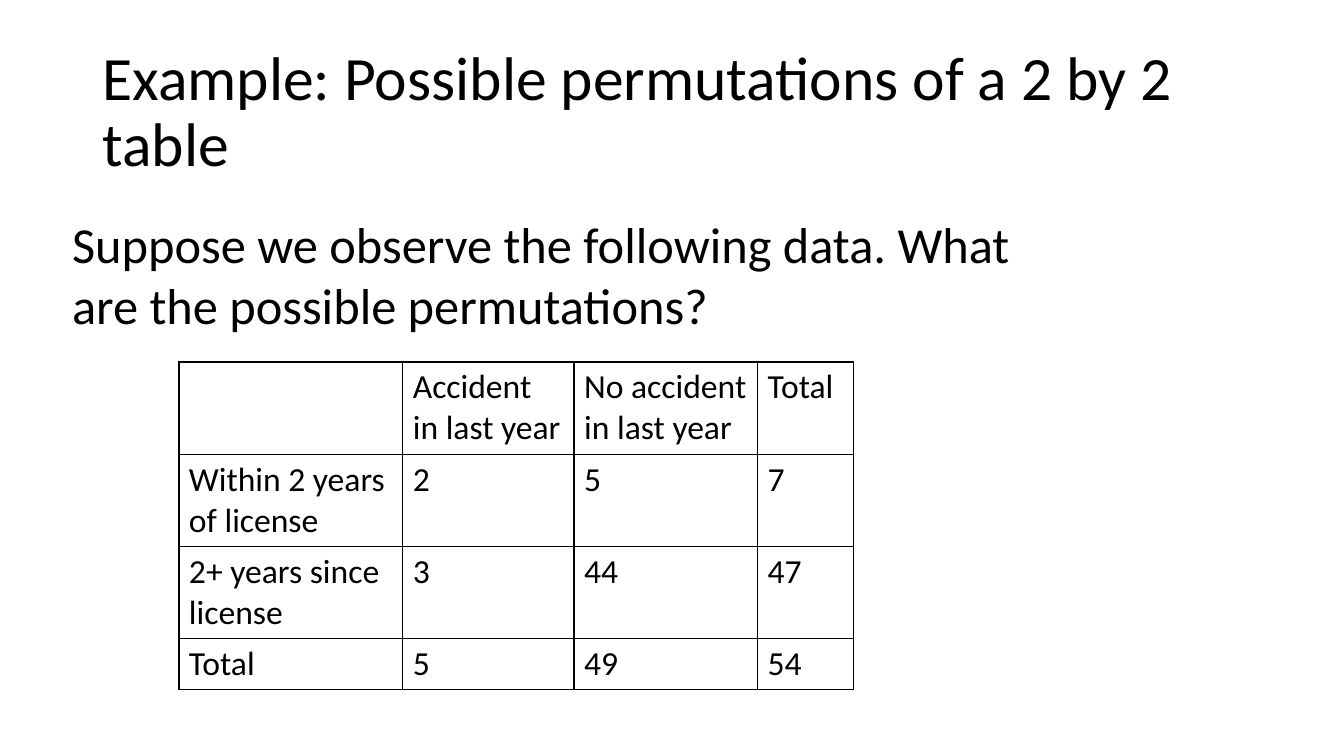
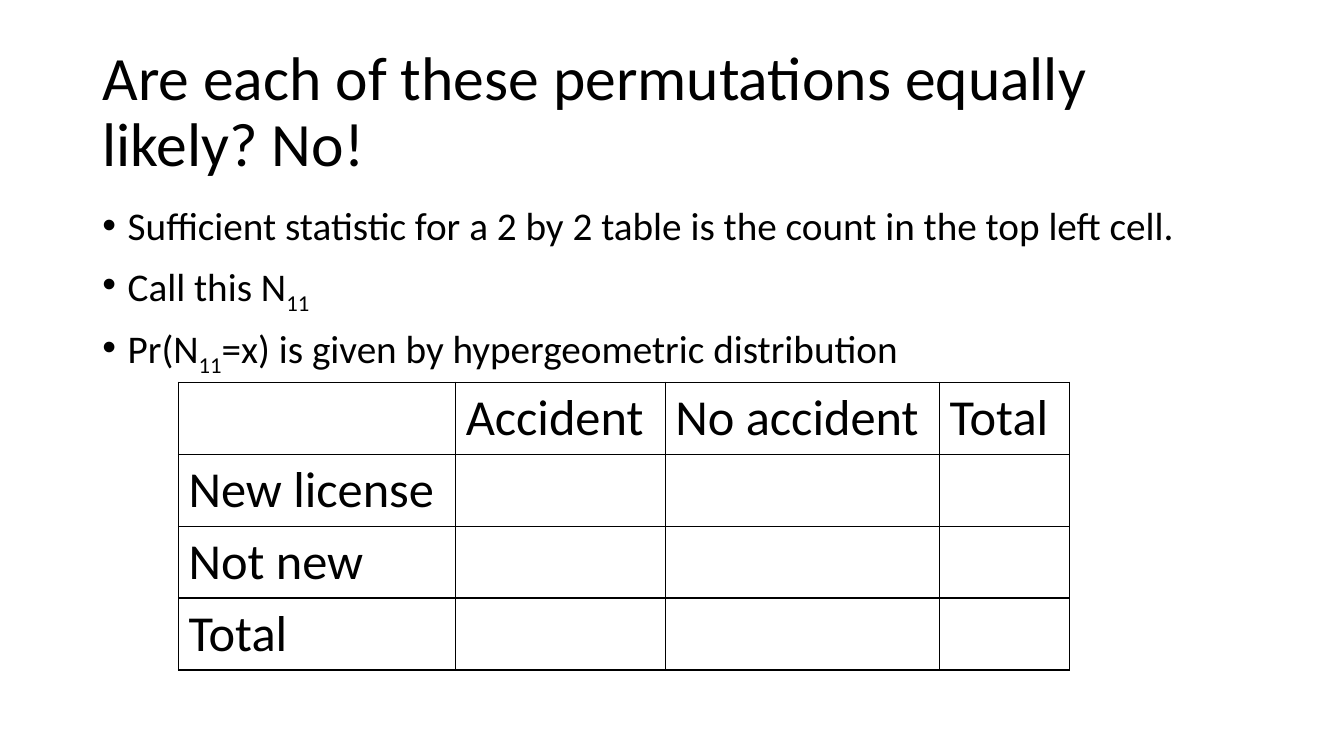
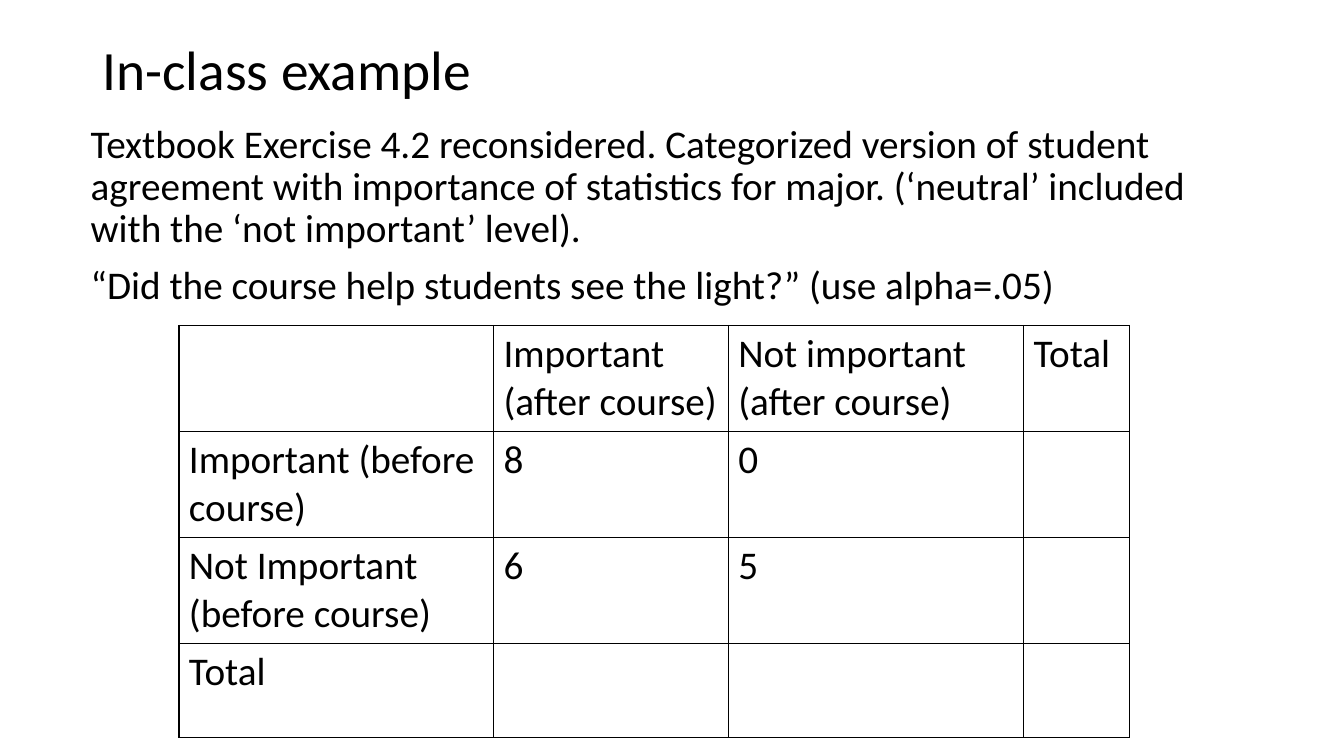
"""Build three slides about permutations of two by two tables."""
import dataclasses

import lxml.etree
import pptx
import pptx.dml.color
import pptx.enum.text
import pptx.oxml.ns
import pptx.util


@dataclasses.dataclass(frozen=True)
class Theme:
    """Colours, type sizes and grid shared by all slides."""
    font: str = "Calibri"
    ink: pptx.dml.color.RGBColor = pptx.dml.color.RGBColor(0, 0, 0)
    paper: pptx.dml.color.RGBColor = pptx.dml.color.RGBColor(255, 255, 255)
    title: float = 44
    short_title: float = 39.6
    large: float = 36
    body: float = 28
    small: float = 24
    spacing: float = 0.9
    space_before: float = 10
    border: float = 1
    columns: int = 160
    rows: int = 90
    title_area: tuple = (11, 4.8, 138, 17.4)


class Builder:
    """Hold the theme and the current page, and draw elements on its grid."""

    def __init__(self, theme):
        """Start an empty widescreen deck."""
        self.theme = theme
        self.deck = pptx.Presentation()
        self.deck.slide_width = pptx.util.Inches(13.33)
        self.deck.slide_height = pptx.util.Inches(7.5)
        self.page = None

    def across(self, columns):
        """Turn grid columns into a length."""
        return round(self.deck.slide_width * columns / self.theme.columns)

    def down(self, rows):
        """Turn grid rows into a length."""
        return round(self.deck.slide_height * rows / self.theme.rows)

    def area(self, left, top, width, height):
        """Turn a grid area into four lengths."""
        return self.across(left), self.down(top), self.across(width), self.down(height)

    def place(self, box, area):
        """Move a placeholder to a grid area."""
        box.left, box.top, box.width, box.height = self.area(*area)
        box.text_frame.auto_size = pptx.enum.text.MSO_AUTO_SIZE.NONE

    def style(self, para, size):
        """Set the font of a paragraph."""
        para.font.name = self.theme.font
        para.font.size = pptx.util.Pt(size)
        para.font.color.rgb = self.theme.ink
        para.alignment = pptx.enum.text.PP_ALIGN.LEFT

    def add_page(self, title, layout="Title Only", size=None, area=None):
        """Add a page with a title."""
        self.page = self.deck.slides.add_slide(self.deck.slide_layouts.get_by_name(layout))
        self.page.background.fill.solid()
        self.page.background.fill.fore_color.rgb = self.theme.paper
        box = self.page.shapes.title
        self.place(box, area or self.theme.title_area)
        box.text_frame.vertical_anchor = pptx.enum.text.MSO_ANCHOR.MIDDLE
        para = box.text_frame.paragraphs[0]
        para.text = title
        para.line_spacing = self.theme.spacing
        self.style(para, size or self.theme.title)

    def add_text(self, text, area, size):
        """Add a wrapping text box."""
        frame = self.page.shapes.add_textbox(*self.area(*area)).text_frame
        frame.word_wrap = True
        frame.paragraphs[0].text = text
        self.style(frame.paragraphs[0], size)

    def add_list(self, items, area, bulleted=True):
        """Fill the body; every second part of an item is a subscript."""
        box = self.page.placeholders[1]
        self.place(box, area)
        frame = box.text_frame
        for index, parts in enumerate(items):
            para = frame.add_paragraph() if index else frame.paragraphs[0]
            indent = pptx.util.Inches(0.25) if bulleted else 0
            properties = para._p.get_or_add_pPr()
            properties.set("marL", str(indent))
            properties.set("indent", str(-indent))
            if not bulleted:
                lxml.etree.SubElement(properties, pptx.oxml.ns.qn("a:buNone"))
            para.line_spacing = self.theme.spacing
            para.space_before = pptx.util.Pt(self.theme.space_before)
            self.style(para, self.theme.body)
            for position, part in enumerate(parts):
                span = para.add_run()
                span.text = part
                if position % 2:
                    span._r.get_or_add_rPr().set("baseline", "-25000")

    def add_borders(self, cell):
        """Draw a line on each side of a cell."""
        qn = pptx.oxml.ns.qn
        properties = cell._tc.get_or_add_tcPr()
        for index, side in enumerate(("a:lnL", "a:lnR", "a:lnT", "a:lnB")):
            line = lxml.etree.Element(qn(side), w=str(pptx.util.Pt(self.theme.border)))
            fill = lxml.etree.SubElement(line, qn("a:solidFill"))
            lxml.etree.SubElement(fill, qn("a:srgbClr"), val=str(self.theme.ink))
            properties.insert(index, line)

    def add_table(self, values, left, top, widths, heights, size):
        """Add a plain ruled table."""
        area = self.area(left, top, sum(widths), sum(heights))
        table = self.page.shapes.add_table(len(heights), len(widths), *area).table
        table.first_row = table.horz_banding = False
        for column, width in zip(table.columns, widths):
            column.width = self.across(width)
        for row, height, texts in zip(table.rows, heights, values):
            row.height = self.down(height)
            for cell, text in zip(row.cells, texts):
                cell.text = text
                cell.fill.background()
                self.style(cell.text_frame.paragraphs[0], size)
                self.add_borders(cell)


theme = Theme()
builder = Builder(theme)

builder.add_page("Example: Possible permutations of a 2 by 2 table")
builder.add_table(
    [("", "Accident in last year", "No accident in last year", "Total"),
     ("Within 2 years of license", "2", "5", "7"),
     ("2+ years since license", "3", "44", "47"),
     ("Total", "5", "49", "54")],
    21.3, 43.1, (26.65, 20.4, 21.85, 11.4), (10.95, 10.95, 10.95, 6.1), theme.small)
builder.add_text(
    "Suppose we observe the following data. What are the possible permutations?",
    (7.4, 24.8, 122.8, 15.7), theme.large)

builder.add_page("Are each of these permutations equally likely? No!", "Title and Content")
builder.add_list(
    [("Sufficient statistic for a 2 by 2 table is the count in the top left cell.",),
     ("Call this N", "11"),
     ("Pr(N", "11", "=x) is given by hypergeometric distribution")],
    (11, 24, 138, 57.1))
builder.add_table(
    [("", "Accident", "No accident", "Total"),
     ("New license", "", "", ""),
     ("Not new", "", "", ""),
     ("Total", "", "", "")],
    21.25, 45.5, (33, 24.95, 32.65, 15.5), (8.57,) * 4, theme.large)

builder.add_page("In-class example", "Title and Content", theme.short_title, (11, 4.8, 138, 7.6))
builder.add_list(
    [("Textbook Exercise 4.2 reconsidered. Categorized version of student agreement with "
      "importance of statistics for major. (‘neutral’ included with the "
      "‘not important’ level).",),
     ("“Did the course help students see the light?” (use alpha=.05)",)],
    (9.6, 14.2, 138, 62.2), bulleted=False)
builder.add_table(
    [("", "Important (after course)", "Not important (after course)", "Total"),
     ("Important (before course)", "8", "0", ""),
     ("Not Important (before course)", "6", "5", ""),
     ("Total", "", "", "")],
    21.3, 38.75, (37.45, 27.95, 35.15, 12.6), (12.62, 12.62, 12.62, 11.2), theme.body)

builder.deck.save("out.pptx")
